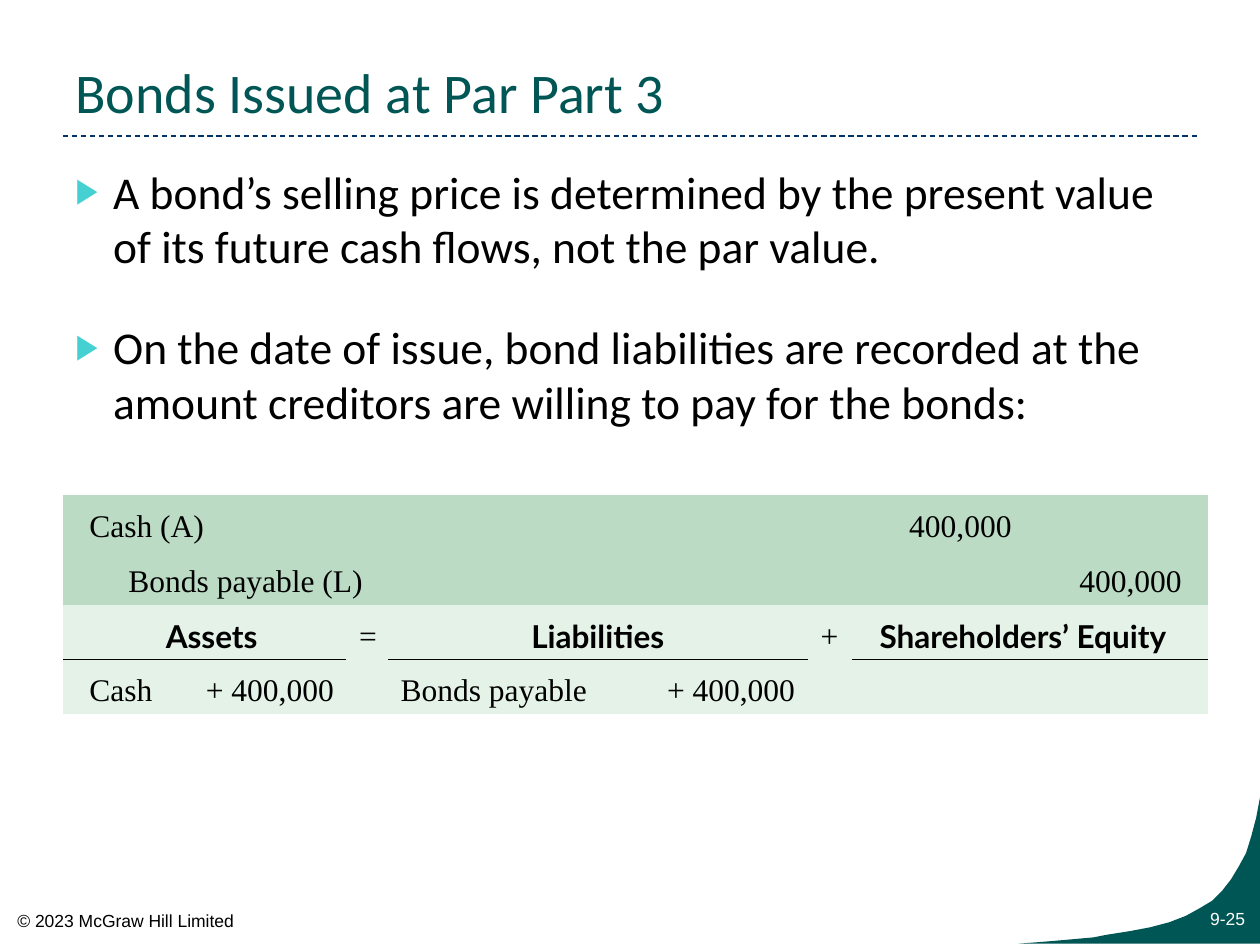
"""Build the slide on bonds issued at par, with its journal entry and equation table."""
from dataclasses import dataclass

from lxml.etree import SubElement
from pptx import Presentation
from pptx.dml.color import RGBColor
from pptx.enum.dml import MSO_LINE_DASH_STYLE as Dash
from pptx.enum.shapes import MSO_CONNECTOR as Connector
from pptx.enum.text import MSO_ANCHOR as Anchor, PP_ALIGN as Align
from pptx.oxml.ns import qn
from pptx.util import Inches, Pt

WIDTH, HEIGHT = 10, 7.5
MARGIN = WIDTH * 0.05
BLACK = RGBColor(0, 0, 0)
WHITE = RGBColor(0xFF, 0xFF, 0xFF)
TEAL = RGBColor(0x00, 0x56, 0x54)
NAVY = RGBColor(0x00, 0x33, 0x66)
AQUA = RGBColor(0x45, 0xD1, 0xD1)
GREEN = RGBColor(0xBC, 0xDB, 0xC4)
PALE_GREEN = RGBColor(0xE4, 0xF2, 0xE7)

COLUMNS = (0.92, 1.33, 0.33, 2, 1.33, 0.25, 1.37, 1.46)
TABLE_HEIGHT = 1.74
ROW_FILLS = (GREEN, GREEN, PALE_GREEN, PALE_GREEN)
PLAIN_PAD, EDGE_PAD, CREDIT_INDENT = 0.1, 0.21, 0.31
RULED_COLUMNS = (0, 1, 3, 4, 6, 7)
HEADING_ROW = 2
CORNER_CURVE = (
    (8.08, 7.49), (8.22, 7.48), (8.34, 7.47), (8.46, 7.46), (8.57, 7.45), (8.68, 7.44),
    (8.78, 7.42), (8.97, 7.39), (9.13, 7.36), (9.28, 7.32), (9.41, 7.27), (9.52, 7.21),
    (9.62, 7.15), (9.7, 7.07), (9.77, 6.98), (9.83, 6.88), (9.89, 6.77), (9.93, 6.64),
    (9.97, 6.49), (10, 6.33),
)


@dataclass(frozen=True)
class Style:
    """Look of a run."""
    font: str
    size: float
    color: RGBColor = BLACK
    bold: bool = False


@dataclass(frozen=True)
class Entry:
    """Text of a table cell, its place in the grid and its layout."""
    row: int
    column: int
    text: str
    align: Align = Align.LEFT
    span: int = 1
    left: float = PLAIN_PAD
    right: float = PLAIN_PAD
    indent: float = 0
    heading: bool = False
    anchor: Anchor = Anchor.MIDDLE


TITLE = Style("Calibri", 32, TEAL)
BODY = Style("Calibri", 26)
NUMBER = Style("Arial", 10, WHITE)
FOOTER = Style("Arial", 10)
FIGURE = Style("Times New Roman", 18)
HEADING = Style("Lato", 18, bold=True)

BULLETS = (
    "A bond’s selling price is determined by the present value of its future cash flows, "
    "not the par value.",
    "On the date of issue, bond liabilities are recorded at the amount creditors are "
    "willing to pay for the bonds:",
)
ENTRIES = (
    Entry(0, 0, "Cash (A)", span=6, left=EDGE_PAD),
    Entry(0, 6, "400,000", Align.RIGHT),
    Entry(1, 0, "Bonds payable (L)", span=6, left=EDGE_PAD, indent=CREDIT_INDENT),
    Entry(1, 7, "400,000", Align.RIGHT, right=EDGE_PAD),
    Entry(2, 0, "Assets", Align.CENTER, 2, left=EDGE_PAD, heading=True, anchor=Anchor.BOTTOM),
    Entry(2, 2, "=", Align.CENTER),
    Entry(2, 3, "Liabilities", Align.CENTER, 2, heading=True),
    Entry(2, 5, "+", Align.CENTER),
    Entry(2, 6, "Shareholders’ Equity", Align.CENTER, 2, right=EDGE_PAD, heading=True),
    Entry(3, 0, "Cash", left=EDGE_PAD),
    Entry(3, 1, "+ 400,000", Align.RIGHT),
    Entry(3, 3, "Bonds payable"),
    Entry(3, 4, "+ 400,000", Align.RIGHT),
)


def add_span(para, text: str, style: Style) -> None:
    """Add a styled run."""
    span = para.add_run()
    span.text = text
    span.font.name, span.font.size = style.font, Pt(style.size)
    span.font.bold, span.font.color.rgb = style.bold, style.color


def add_box(page, left: float, top: float, width: float, height: float, wrap: bool = True):
    """Add an empty text box and return its frame."""
    box = page.shapes.add_textbox(*map(Inches, (left, top, width, height)))
    box.text_frame.word_wrap = wrap
    return box.text_frame


def set_indent(para, left: float, first: float = 0) -> None:
    """Set the left and first-line indents of a paragraph."""
    props = para._p.get_or_add_pPr()
    props.set("marL", str(Inches(left)))
    props.set("indent", str(Inches(first)))


def add_bullet(para) -> None:
    """Give a paragraph a hanging triangle bullet."""
    set_indent(para, 0.3, -0.3)
    props = para._p.get_or_add_pPr()
    color = SubElement(props, qn("a:buClr"))
    SubElement(color, qn("a:srgbClr"), val=str(AQUA))
    SubElement(props, qn("a:buSzPct"), val="76000")
    SubElement(props, qn("a:buFont"), typeface="Arial")
    SubElement(props, qn("a:buChar"), char="▶")


def add_background(page) -> None:
    """Draw the title rule and the corner sweep."""
    rule = page.shapes.add_connector(
        Connector.STRAIGHT, Inches(MARGIN), Inches(1.08), Inches(WIDTH - MARGIN), Inches(1.08))
    rule.line.color.rgb, rule.line.width = NAVY, Pt(0.75)
    rule.line.dash_style = Dash.DASH
    SubElement(rule._element.spPr, qn("a:effectLst"))
    builder = page.shapes.build_freeform(Inches(WIDTH), Inches(7.49))
    builder.add_line_segments([(Inches(x), Inches(y)) for x, y in CORNER_CURVE], close=True)
    corner = builder.convert_to_shape()
    corner.shadow.inherit = False
    corner.fill.solid()
    corner.fill.fore_color.rgb = TEAL
    corner.line.fill.background()


def add_text(page) -> None:
    """Write the number, footer, title and bullets."""
    number = add_box(page, 9, 7.16, 0.98, 0.27).paragraphs[0]
    number.alignment = Align.RIGHT
    add_span(number, "9-25", NUMBER)
    footer = add_box(page, 0.04, 7.17, 1.94, 0.27, wrap=False)
    add_span(footer.paragraphs[0], "© 2023 McGraw Hill Limited", FOOTER)
    title = add_box(page, MARGIN, 0.17, WIDTH - 2 * MARGIN, 0.87)
    title.vertical_anchor = Anchor.BOTTOM
    add_span(title.paragraphs[0], "Bonds Issued at Par Part 3", TITLE)
    body = add_box(page, MARGIN, 1.25, WIDTH - 2 * MARGIN, 2.5)
    for index, text in enumerate(BULLETS):
        para = body.add_paragraph() if index else body.paragraphs[0]
        add_bullet(para)
        if index:
            para.space_before = Pt(26.5)
        add_span(para, text, BODY)


def set_border(cell, side: str, ruled: bool) -> None:
    """Rule or clear one side of a cell."""
    line = SubElement(cell._tc.get_or_add_tcPr(), qn(f"a:ln{side}"), w=str(Pt(0.75)))
    if ruled:
        fill = SubElement(line, qn("a:solidFill"))
        SubElement(fill, qn("a:srgbClr"), val=str(BLACK))
    else:
        SubElement(line, qn("a:noFill"))


def add_entry(table, entry: Entry) -> None:
    """Write one entry into the table."""
    cell = table.cell(entry.row, entry.column)
    if entry.span > 1:
        cell.merge(table.cell(entry.row, entry.column + entry.span - 1))
    cell.margin_left, cell.margin_right = Inches(entry.left), Inches(entry.right)
    cell.vertical_anchor = entry.anchor
    para = cell.text_frame.paragraphs[0]
    para.alignment = entry.align
    set_indent(para, entry.indent)
    add_span(para, entry.text, HEADING if entry.heading else FIGURE)


def add_ledger(page) -> None:
    """Draw the journal entry and accounting equation table."""
    rows = len(ROW_FILLS)
    table = page.shapes.add_table(
        rows, len(COLUMNS), Inches(MARGIN), Inches(3.93),
        Inches(sum(COLUMNS)), Inches(TABLE_HEIGHT)).table
    table.first_row = table.horz_banding = False
    for column, width in zip(table.columns, COLUMNS):
        column.width = Inches(width)
    for row, fill in enumerate(ROW_FILLS):
        table.rows[row].height = Inches(TABLE_HEIGHT / rows)
        ruled_side = {HEADING_ROW: "B", HEADING_ROW + 1: "T"}.get(row)
        for column in range(len(COLUMNS)):
            cell = table.cell(row, column)
            for side in "LRTB":
                set_border(cell, side, side == ruled_side and column in RULED_COLUMNS)
            cell.fill.solid()
            cell.fill.fore_color.rgb = fill
            cell.margin_top, cell.margin_bottom = Inches(0.1), Inches(0.03)
    for entry in ENTRIES:
        add_entry(table, entry)


if __name__ == "__main__":
    deck = Presentation()
    deck.slide_width, deck.slide_height = Inches(WIDTH), Inches(HEIGHT)
    slide = deck.slides.add_slide(deck.slide_layouts[6])
    add_background(slide)
    add_text(slide)
    add_ledger(slide)
    deck.save("out.pptx")
